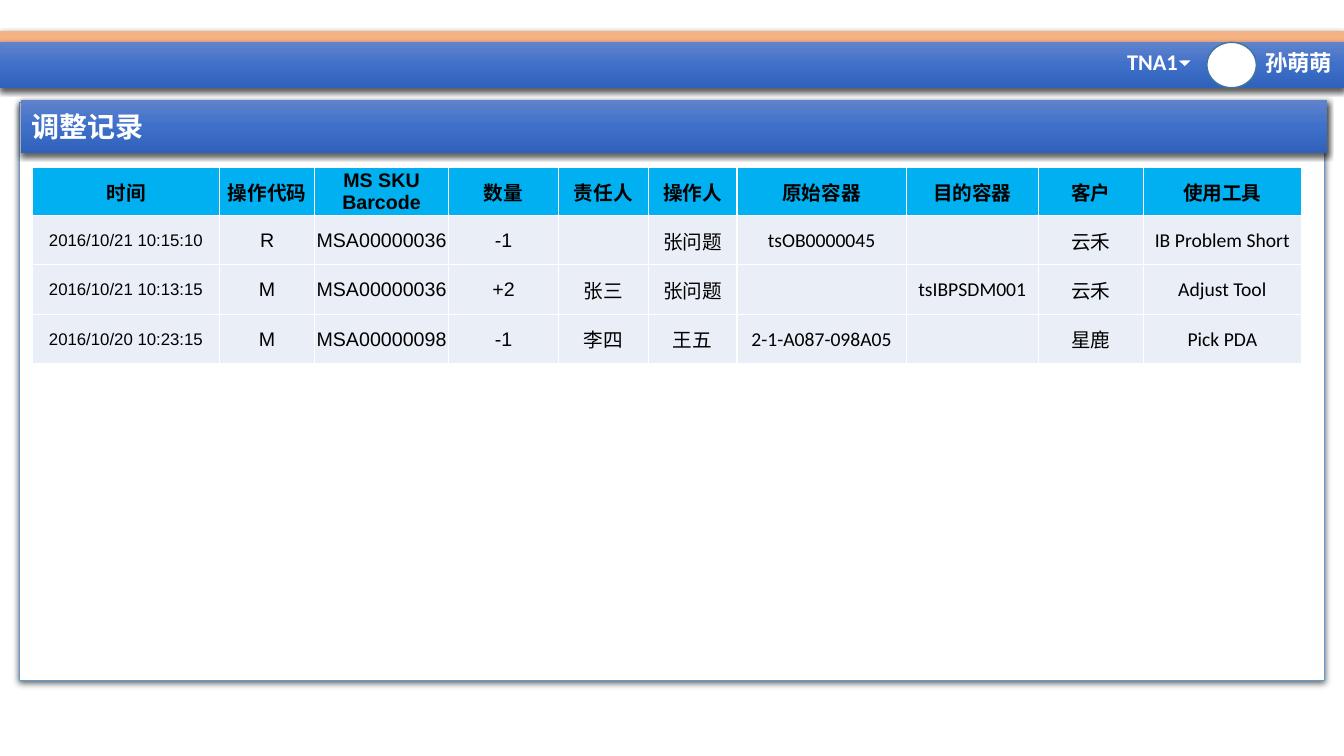
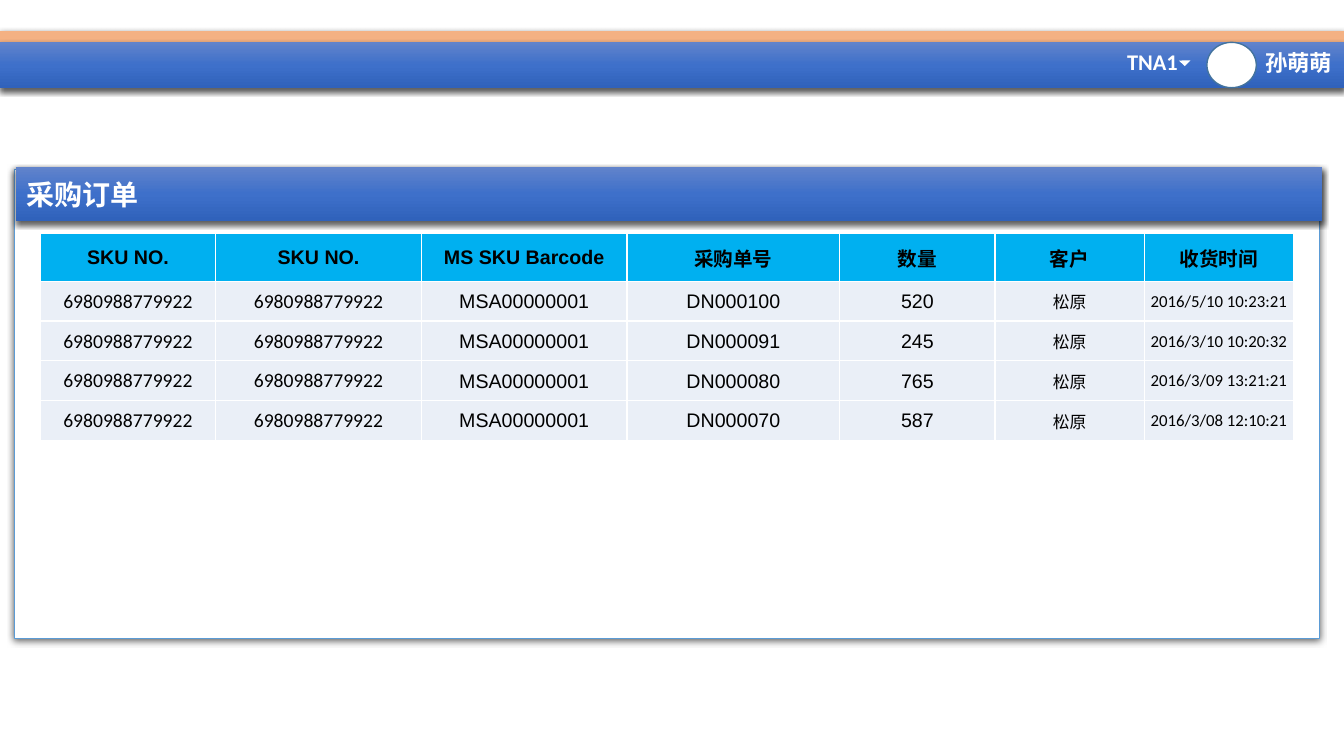
import copy

import pptx
import pptx.dml.color
import pptx.enum.shapes
import pptx.enum.text
import pptx.oxml
import pptx.oxml.ns
import pptx.util
from pptx.util import Inches

COLORS = {
    "accent": "F4B183", "white": "FFFFFF", "black": "000000",
    "panel_line": "5B9BD5", "avatar_line": "43739E",
    "header": "00B0F0", "body": "EAEFF7",
}
BAND_STOPS = [(0, "6183CB"), (0.5, "3E70CA"), (1, "3062BB")]
SLIDE_W, SLIDE_H = 13.33, 7.5
PANEL_W, TITLE_H = 12.95, 0.53
SITE, USER = "TNA1", "孙萌萌"

# Columns: heading, width, body font, body size.
SCREENS = [
    {
        "title": "调整记录",
        "panel": (0.19, 1.02, 5.73),
        "title_top": 0.99,
        "table_at": (0.32, 1.66),
        "row_heights": (0.46, 0.49),
        "columns": [
            ("时间", 1.86, "Arial", 12),
            ("操作代码", 0.94, "Arial", 14),
            ("MS SKU Barcode", 1.33, "Arial", 14),
            ("数量", 1.09, "Arial", 14),
            ("责任人", 0.89, "Calibri", 14),
            ("操作人", 0.88, "Calibri", 14),
            ("原始容器", 1.68, "Calibri", 14),
            ("目的容器", 1.31, "Calibri", 14),
            ("客户", 1.04, "Arial", 14),
            ("使用工具", 1.57, "Calibri", 14),
        ],
        "rows": [
            ("2016/10/21 10:15:10", "R", "MSA00000036", "-1", "", "张问题",
             "tsOB0000045", "", "云禾", "IB Problem Short"),
            ("2016/10/21 10:13:15", "M", "MSA00000036", "+2", "张三", "张问题",
             "", "tsIBPSDM001", "云禾", "Adjust Tool"),
            ("2016/10/20 10:23:15", "M", "MSA00000098", "-1", "李四", "王五",
             "2-1-A087-098A05", "", "星鹿", "Pick PDA"),
        ],
    },
    {
        "title": "采购订单",
        "panel": (0.14, 1.68, 4.66),
        "title_top": 1.66,
        "table_at": (0.4, 2.32),
        "row_heights": (0.47, 0.395),
        "columns": [
            ("SKU NO.", 1.74, "Calibri", 14),
            ("SKU NO.", 2.04, "Calibri", 14),
            ("MS SKU Barcode", 2.04, "Arial", 14),
            ("采购单号", 2.11, "Arial", 14),
            ("数量", 1.54, "Arial", 14),
            ("客户", 1.48, "Calibri", 12),
            ("收货时间", 1.48, "Calibri", 12),
        ],
        "rows": [
            ("6980988779922", "6980988779922", "MSA00000001", number, quantity, "松原", time)
            for number, quantity, time in [
                ("DN000100", "520", "2016/5/10 10:23:21"),
                ("DN000091", "245", "2016/3/10 10:20:32"),
                ("DN000080", "765", "2016/3/09 13:21:21"),
                ("DN000070", "587", "2016/3/08 12:10:21"),
            ]
        ],
    },
]


def rgb(name):
    return pptx.dml.color.RGBColor.from_string(COLORS.get(name, name))


def add_span(para, text, size, color, font="Calibri", bold=True):
    span = para.add_run()
    span.text = text
    span.font.size = pptx.util.Pt(size)
    span.font.name = font
    span.font.bold = bold
    span.font.color.rgb = rgb(color)


def add_block(shapes, kind, at, fill=None, line=None, line_width=1, shadow=False):
    """Add a preset shape; without a fill colour it gets the band gradient."""
    kind = getattr(pptx.enum.shapes.MSO_SHAPE, kind)
    shape = shapes.add_shape(kind, *map(Inches, at))
    if fill:
        shape.fill.solid()
        shape.fill.fore_color.rgb = rgb(fill)
    else:
        fill_with_band_gradient(shape)
    if line:
        shape.line.color.rgb = rgb(line)
        shape.line.width = pptx.util.Pt(line_width)
    else:
        shape.line.fill.background()
    shape.shadow.inherit = False
    if shadow:
        effects = shape._element.spPr.find(pptx.oxml.ns.qn("a:effectLst"))
        effects.append(pptx.oxml.parse_xml(
            f'<a:outerShdw {pptx.oxml.ns.nsdecls("a")} blurRad="57150" dist="19050" '
            'dir="5400000" algn="ctr" rotWithShape="0"><a:srgbClr val="000000">'
            '<a:alpha val="63000"/></a:srgbClr></a:outerShdw>'))
    return shape


def fill_with_band_gradient(shape):
    shape.fill.gradient()
    shape.fill.gradient_angle = 270
    stop_list = next(shape._element.spPr.iter(pptx.oxml.ns.qn("a:gsLst")))
    stop_list.append(copy.deepcopy(stop_list[0]))
    for stop, (position, color) in zip(shape.fill.gradient_stops, BAND_STOPS):
        stop.position = position
        stop.color.rgb = rgb(color)


def add_label(page, text, at):
    box = page.shapes.add_textbox(*map(Inches, at))
    box.text_frame.word_wrap = False
    add_span(box.text_frame.paragraphs[0], text, 16, "white")


def add_top_bar(page):
    add_block(page.shapes, "RECTANGLE", (0, 0.31, SLIDE_W, 0.11), "accent", shadow=True)
    add_block(page.shapes, "RECTANGLE", (0, 0.42, SLIDE_W, 0.45), shadow=True)
    add_label(page, USER, (12.45, 0.44, 0.88, 0.37))
    add_block(page.shapes, "OVAL", (11.97, 0.42, 0.49, 0.45), "white", "avatar_line")
    add_label(page, SITE, (11.08, 0.43, 0.71, 0.37))
    arrow = add_block(page.shapes, "RIGHT_TRIANGLE", (11.71, 0.56, 0.08, 0.08), "white")
    arrow.rotation = 314.5


def add_panel(page, screen):
    left, top, height = screen["panel"]
    group = page.shapes.add_group_shape()
    add_block(group.shapes, "RECTANGLE", (left, top, PANEL_W, height),
              "white", "panel_line", 0.75, shadow=True)
    title = add_block(group.shapes, "RECTANGLE",
                      (left + 0.02, screen["title_top"], PANEL_W, TITLE_H), shadow=True)
    title.text_frame.vertical_anchor = pptx.enum.text.MSO_ANCHOR.MIDDLE
    para = title.text_frame.paragraphs[0]
    para.alignment = pptx.enum.text.PP_ALIGN.LEFT
    add_span(para, screen["title"], 20, "white")


def format_cell(cell, fill):
    cell.fill.solid()
    cell.fill.fore_color.rgb = rgb(fill)
    cell.vertical_anchor = pptx.enum.text.MSO_ANCHOR.MIDDLE
    cell.margin_left = cell.margin_right = cell.margin_top = Inches(0.01)
    cell.margin_bottom = 0
    properties = cell._tc.get_or_add_tcPr()
    for index, side in enumerate("LRTB"):
        properties.insert(index, pptx.oxml.parse_xml(
            f'<a:ln{side} {pptx.oxml.ns.nsdecls("a")} w="12700"><a:solidFill>'
            f'<a:srgbClr val="{COLORS["white"]}"/></a:solidFill></a:ln{side}>'))


def add_records(page, screen):
    columns = screen["columns"]
    lines = [[column[0] for column in columns], *screen["rows"]]
    header_h, row_h = screen["row_heights"]
    heights = [header_h] + [row_h] * len(screen["rows"])
    size = (sum(column[1] for column in columns), sum(heights))
    table = page.shapes.add_table(
        len(lines), len(columns), *map(Inches, screen["table_at"] + size)).table
    for table_column, (_, width, _, _) in zip(table.columns, columns):
        table_column.width = Inches(width)
    for row, (height, texts) in enumerate(zip(heights, lines)):
        table.rows[row].height = Inches(height)
        is_header = row == 0
        for col, (text, (_, _, font, points)) in enumerate(zip(texts, columns)):
            cell = table.cell(row, col)
            format_cell(cell, "header" if is_header else "body")
            para = cell.text_frame.paragraphs[0]
            para.alignment = pptx.enum.text.PP_ALIGN.CENTER
            if is_header:
                font, points = "Arial", 14
            if text:
                add_span(para, text, points, "black", font, is_header)


def main():
    deck = pptx.Presentation()
    deck.slide_width, deck.slide_height = Inches(SLIDE_W), Inches(SLIDE_H)
    for screen in SCREENS:
        page = deck.slides.add_slide(deck.slide_layouts[6])
        add_top_bar(page)
        add_panel(page, screen)
        add_records(page, screen)
    deck.save("out.pptx")


if __name__ == "__main__":
    main()
